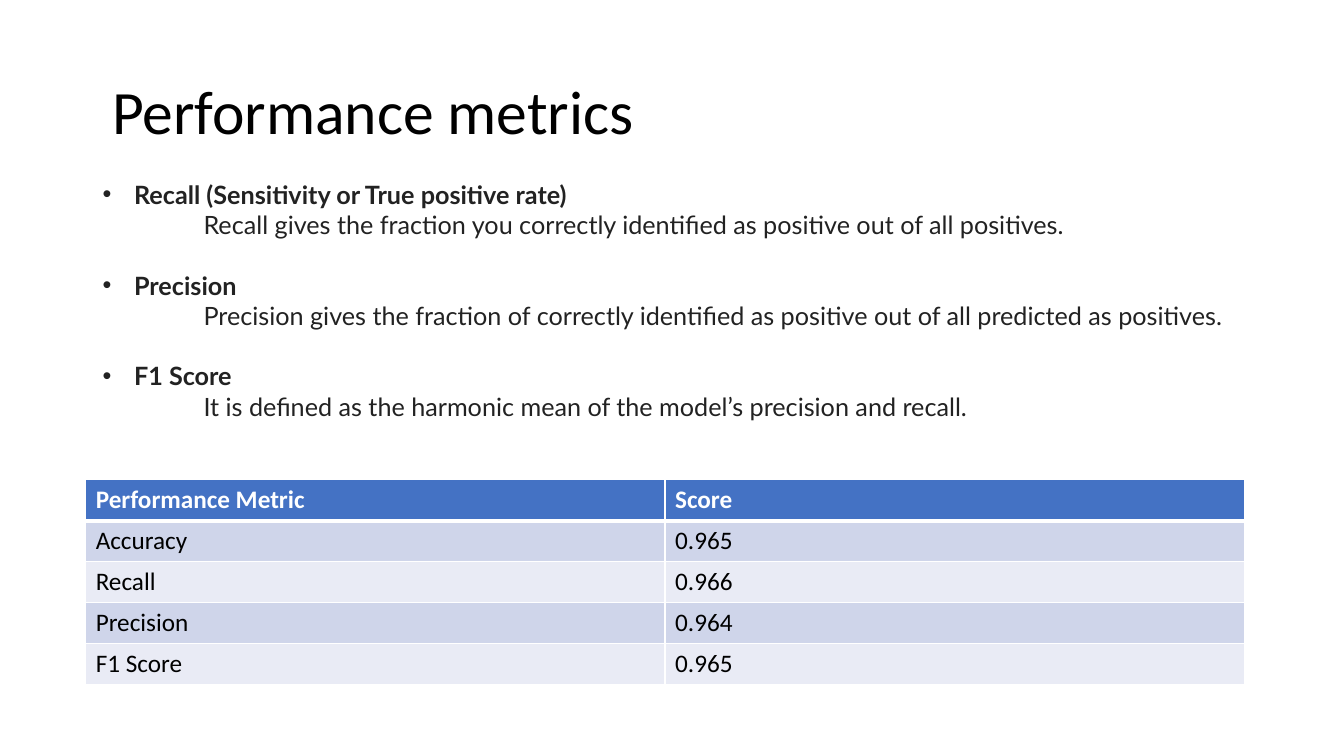
from lxml.etree import SubElement
from pptx import Presentation
from pptx.dml.color import RGBColor
from pptx.enum.text import MSO_ANCHOR, MSO_AUTO_SIZE, PP_ALIGN
from pptx.oxml import parse_xml
from pptx.oxml.ns import nsdecls, qn
from pptx.util import Cm, Pt

TITLE = "Performance metrics"
METRICS = [
    ("Recall (Sensitivity or True positive rate)",
     "Recall gives the fraction you correctly identified as positive out of all positives."),
    ("Precision",
     "Precision gives the fraction of correctly identified as positive out of all predicted as positives."),
    ("F1 Score",
     "It is defined as the harmonic mean of the model’s precision and recall."),
]
SCORES = [
    ("Performance Metric", "Score"),
    ("Accuracy", "0.965"),
    ("Recall", "0.966"),
    ("Precision", "0.964"),
    ("F1 Score", "0.965"),
]
HEADER, BANDS = "4472C4", ("E9EBF5", "CFD5EA")
WHITE, BLACK, INK = "FFFFFF", "000000", "222222"
BULLET_INDENT, TEXT_INDENT = 0.79, 2.54
ROW_H, COL_W = 1.03, 14.6


def rgb(value):
    return RGBColor.from_string(value)


def write(p, text, font="Calibri", size=18, color=BLACK, bold=False, before=0, spacing=1.0):
    p.alignment = PP_ALIGN.LEFT
    p.space_before = Pt(before)
    p.line_spacing = spacing
    r = p.add_run()
    r.text = text
    r.font.name = font
    r.font.size = Pt(size)
    r.font.bold = bold
    r.font.color.rgb = rgb(color)


def indent(p, left, bullet=False):
    pPr = p._p.get_or_add_pPr()
    pPr.set("marL", str(Cm(left)))
    pPr.set("indent", str(-Cm(left) if bullet else 0))
    if bullet:
        SubElement(pPr, qn("a:buFont")).set("typeface", "Arial")
        SubElement(pPr, qn("a:buChar")).set("char", "•")


def border(cell, widths):
    tcPr = cell._tc.get_or_add_tcPr()
    for i, (side, width) in enumerate(widths.items()):
        tcPr.insert(i, parse_xml(
            f'<a:{side} {nsdecls("a")} w="{Pt(width)}"><a:solidFill>'
            f'<a:srgbClr val="{WHITE}"/></a:solidFill></a:{side}>'))


def add_title(s):
    sp = s.shapes.title
    sp.left, sp.top, sp.width, sp.height = Cm(2.57), Cm(1.04), Cm(29.21), Cm(3.68)
    tf = sp.text_frame
    tf.auto_size = MSO_AUTO_SIZE.NONE
    tf.vertical_anchor = MSO_ANCHOR.MIDDLE
    write(tf.paragraphs[0], TITLE, size=44, spacing=0.9)


def add_scores(s):
    rows, cols = len(SCORES), len(SCORES[0])
    table = s.shapes.add_table(rows, cols, Cm(2.16), Cm(12.09),
                               Cm(COL_W * cols), Cm(ROW_H * rows)).table
    for col in table.columns:
        col.width = Cm(COL_W)
    for i, values in enumerate(SCORES):
        table.rows[i].height = Cm(ROW_H)
        for j, value in enumerate(values):
            cell = table.cell(i, j)
            cell.fill.solid()
            cell.fill.fore_color.rgb = rgb(BANDS[i % 2] if i else HEADER)
            border(cell, {"lnL": 1, "lnR": 1, "lnT": 3 if i == 1 else 1, "lnB": 1 if i else 3})
            write(cell.text_frame.paragraphs[0], value,
                  color=BLACK if i else WHITE, bold=i == 0)


def add_metrics(s):
    tf = s.shapes.add_textbox(Cm(2.34), Cm(4.39), Cm(29.69), Cm(10.26)).text_frame
    tf.word_wrap = True
    for i, (name, meaning) in enumerate(METRICS):
        p = tf.add_paragraph() if i else tf.paragraphs[0]
        write(p, name, font="Lato", color=INK, bold=True, before=21.6 if i else 0)
        indent(p, BULLET_INDENT, bullet=True)
        p = tf.add_paragraph()
        write(p, meaning, font="Lato", color=INK)
        indent(p, TEXT_INDENT)


def main():
    prs = Presentation()
    prs.slide_width, prs.slide_height = Cm(33.87), Cm(19.05)
    s = prs.slides.add_slide(prs.slide_layouts[5])
    add_title(s)
    add_scores(s)
    add_metrics(s)
    prs.save("out.pptx")


if __name__ == "__main__":
    main()
